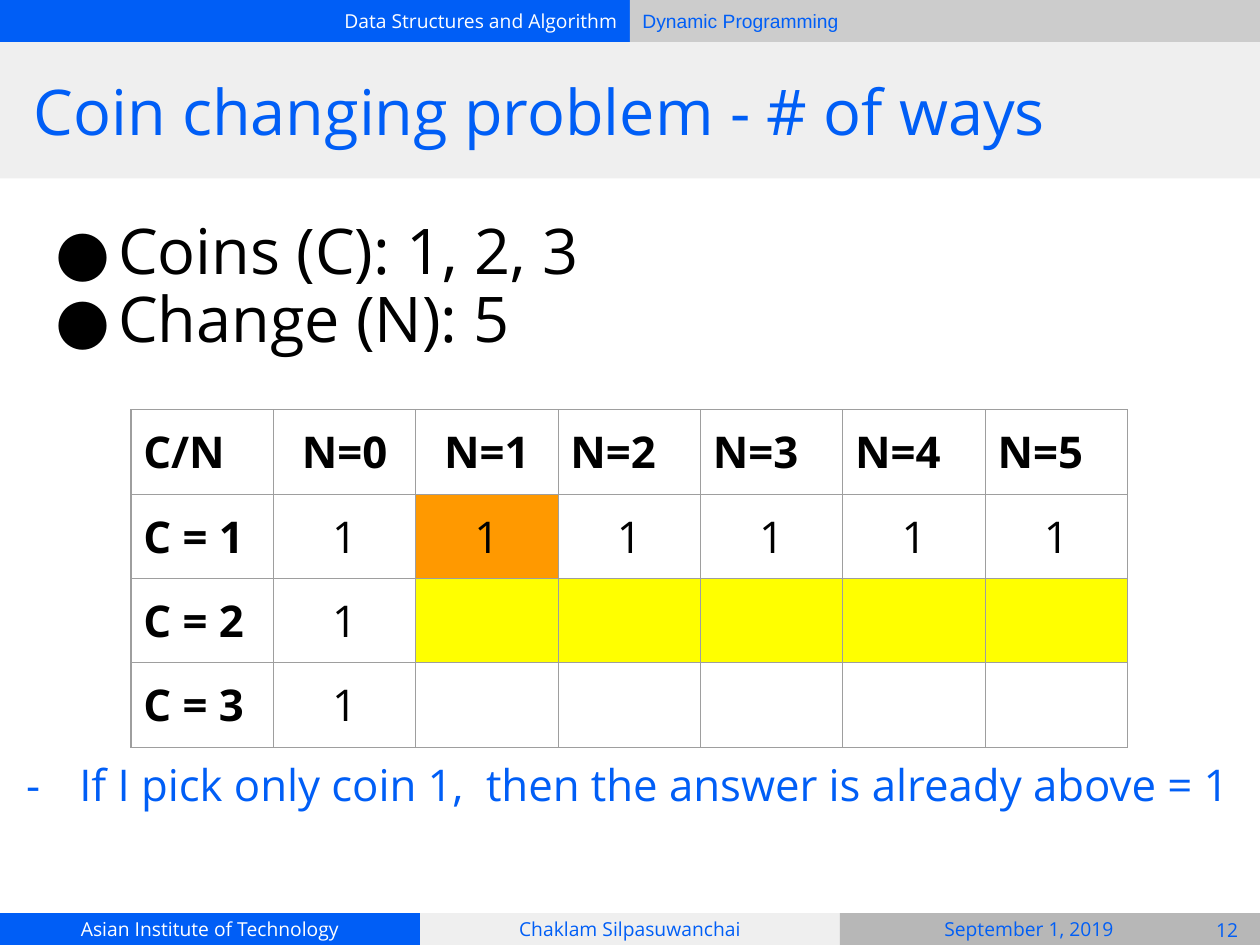
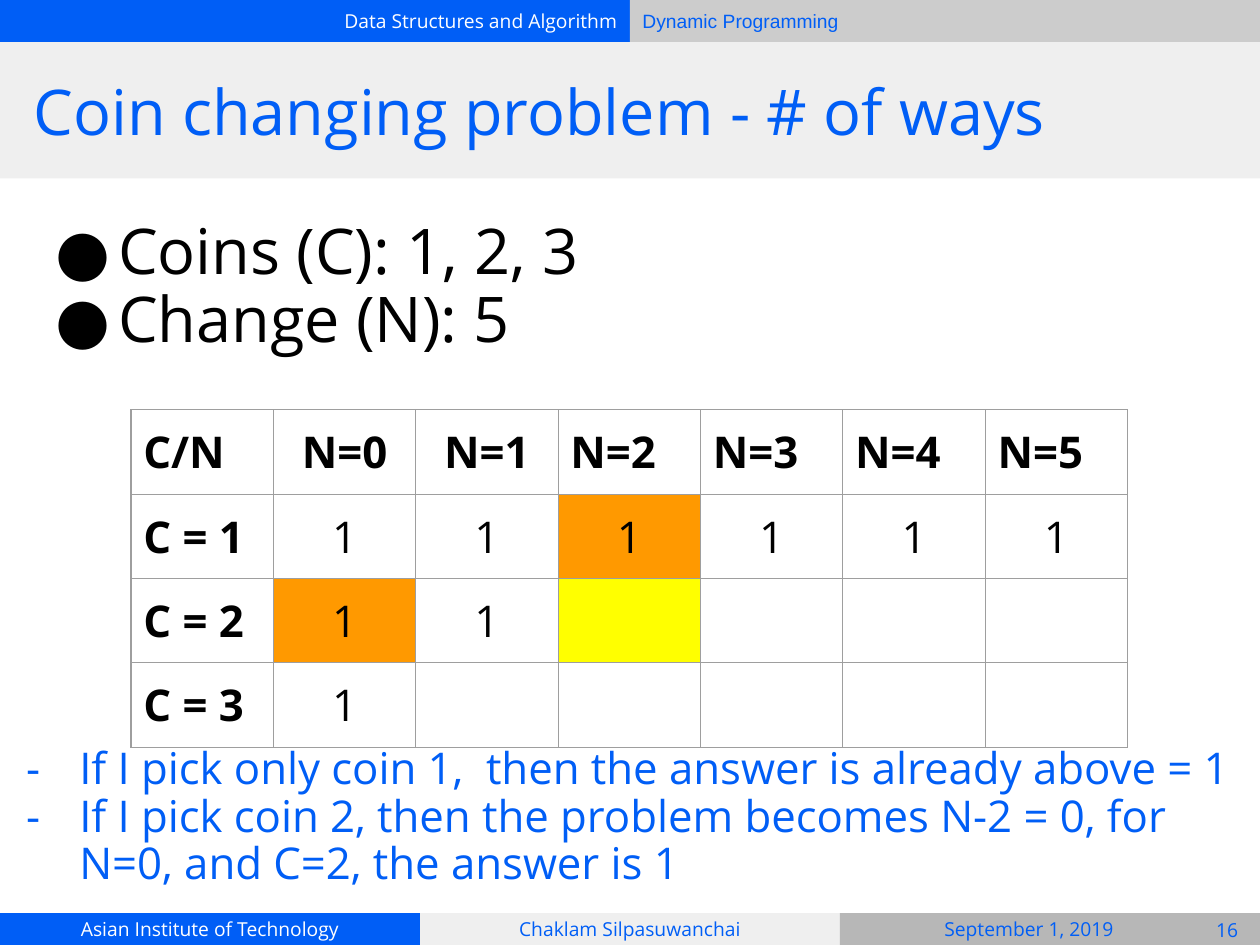
from dataclasses import dataclass

import lxml.etree
import pptx
import pptx.dml.color
import pptx.enum.shapes
import pptx.enum.text
import pptx.oxml
import pptx.oxml.ns
import pptx.util

Cm = pptx.util.Cm
RGBColor = pptx.dml.color.RGBColor
Align = pptx.enum.text.PP_ALIGN
Anchor = pptx.enum.text.MSO_ANCHOR

BLUE = RGBColor(0x00, 0x5E, 0xF6)
WHITE = RGBColor(0xFF, 0xFF, 0xFF)
BLACK = RGBColor(0x00, 0x00, 0x00)
PALE = RGBColor(0xEF, 0xEF, 0xEF)
SILVER = RGBColor(0xCC, 0xCC, 0xCC)
GRAY = RGBColor(0xB7, 0xB7, 0xB7)
GRID = RGBColor(0x9E, 0x9E, 0x9E)
ORANGE = RGBColor(0xFF, 0x99, 0x00)
YELLOW = RGBColor(0xFF, 0xFF, 0x00)

FONT = "Open Sans"
WIDTH, HEIGHT = 25.4, 19.05
HEADER_HEIGHT, TITLE_HEIGHT, FOOTER_HEIGHT = 0.85, 2.75, 0.64
FOOTER_TOP = HEIGHT - FOOTER_HEIGHT
HALF, THIRD = WIDTH / 2, WIDTH / 3
INSET = 0.25
COLUMN_WIDTH, ROW_HEIGHT = 2.87, 1.7

TITLE = "Coin changing problem - # of ways"
PROBLEM = ["Coins (C): 1, 2, 3", "Change (N): 5"]
COLUMN_HEADS = ["C/N"] + [f"N={amount}" for amount in range(6)]
PICK_COIN_1 = "If I pick only coin 1,  then the answer is already above = 1"
PICK_COIN_2 = ("If I pick coin 2, then the problem becomes N-2 = 0, "
               "for N=0, and C=2, the answer is 1")


@dataclass(frozen=True)
class Band:
    left: float
    top: float
    width: float
    height: float
    fill: RGBColor | None
    text: str = ""
    color: RGBColor = BLUE
    align: Align = Align.CENTER
    font: str = FONT


@dataclass(frozen=True)
class Step:
    number: str
    ways: list[list[str]]
    fills: dict[tuple[int, int], RGBColor]
    remarks: list[str]
    remarks_top: float
    remarks_height: float


BANDS = [
    Band(0, 0, HALF, HEADER_HEIGHT, BLUE, "Data Structures and Algorithm", WHITE, Align.RIGHT),
    Band(HALF, 0, HALF, HEADER_HEIGHT, SILVER, "Dynamic Programming", BLUE, Align.LEFT, "Arial"),
    Band(0, HEADER_HEIGHT, WIDTH, TITLE_HEIGHT, PALE),
    Band(0, FOOTER_TOP, THIRD, FOOTER_HEIGHT, BLUE, "Asian Institute of Technology", WHITE),
    Band(THIRD, FOOTER_TOP, THIRD, FOOTER_HEIGHT, PALE, "Chaklam Silpasuwanchai"),
    Band(2 * THIRD, FOOTER_TOP, THIRD, FOOTER_HEIGHT, GRAY),
    Band(17.15, FOOTER_TOP, 7.19, FOOTER_HEIGHT, None, "September 1, 2019"),
]

STEPS = [
    Step("12", [["1"] * 6, ["1"], ["1"]],
         {(1, 2): ORANGE} | {(2, column): YELLOW for column in range(2, 7)},
         [PICK_COIN_1], 15.14, 3.2),
    Step("16", [["1"] * 6, ["1", "1"], ["1"]],
         {(1, 3): ORANGE, (2, 1): ORANGE, (2, 3): YELLOW},
         [PICK_COIN_1, PICK_COIN_2], 14.81, 2.11),
]


def format_para(para, size: float, color: RGBColor, align: Align = Align.LEFT,
                font: str = FONT, bold: bool = False) -> None:
    para.alignment = align
    for span in para.runs:
        span.font.size = pptx.util.Pt(size)
        span.font.name = font
        span.font.bold = bold
        span.font.color.rgb = color


def set_frame(frame, anchor: Anchor, vertical_inset: float = INSET) -> None:
    frame.word_wrap = True
    frame.auto_size = pptx.enum.text.MSO_AUTO_SIZE.NONE
    frame.vertical_anchor = anchor
    frame.margin_left = frame.margin_right = Cm(INSET)
    frame.margin_top = frame.margin_bottom = Cm(vertical_inset)


def place(box, left: float, top: float, width: float, height: float) -> None:
    box.left, box.top, box.width, box.height = Cm(left), Cm(top), Cm(width), Cm(height)


def add_band(page, band: Band):
    area = Cm(band.left), Cm(band.top), Cm(band.width), Cm(band.height)
    if band.fill is None:
        box = page.shapes.add_textbox(*area)
    else:
        box = page.shapes.add_shape(pptx.enum.shapes.MSO_SHAPE.RECTANGLE, *area)
        box.shadow.inherit = False
        box.fill.solid()
        box.fill.fore_color.rgb = band.fill
        box.line.fill.background()
    if band.text:
        box.text_frame.text = band.text
        set_frame(box.text_frame, Anchor.MIDDLE)
        format_para(box.text_frame.paragraphs[0], 11, band.color, band.align, band.font)
    return box


def move_to_layout(boxes: list, layout) -> None:
    """Put the boxes behind the layout's placeholders, so every page shows them."""
    tree = layout.shapes.element
    for index, box in enumerate(boxes):
        box.element.nvSpPr.cNvPr.set("id", str(100 + index))
        tree.insert(2 + index, box.element)


def fill_list(frame, lines: list[str], bullet: str, hanging: float,
              size: float, color: RGBColor) -> None:
    frame.text = "\n".join(lines)
    for para in frame.paragraphs:
        para.line_spacing = 0.9
        para.space_before = pptx.util.Pt(0)
        settings = para._p.get_or_add_pPr()
        settings.set("marL", str(Cm(1.27)))
        settings.set("indent", str(-Cm(hanging)))
        tag = pptx.oxml.ns.qn
        tint = lxml.etree.SubElement(settings, tag("a:buClr"))
        lxml.etree.SubElement(tint, tag("a:srgbClr"), val=str(color))
        lxml.etree.SubElement(settings, tag("a:buFont"), typeface=FONT)
        lxml.etree.SubElement(settings, tag("a:buChar"), char=bullet)
        format_para(para, size, color)


def add_borders(cell) -> None:
    settings = cell._tc.get_or_add_tcPr()
    for side in ("lnL", "lnR", "lnT", "lnB"):
        settings.append(pptx.oxml.parse_xml(
            f'<a:{side} {pptx.oxml.ns.nsdecls("a")} w="9525">'
            f'<a:solidFill><a:srgbClr val="{GRID}"/></a:solidFill></a:{side}>'))


def add_ways_table(page, step: Step) -> None:
    rows = [COLUMN_HEADS]
    for coin, ways in enumerate(step.ways, start=1):
        rows.append([f"C = {coin}"] + ways + [""] * (6 - len(ways)))
    frame = page.shapes.add_table(
        len(rows), len(COLUMN_HEADS), Cm(2.64), Cm(8.26),
        Cm(COLUMN_WIDTH * len(COLUMN_HEADS)), Cm(ROW_HEIGHT * len(rows)))
    table = frame.table
    table.first_row = table.horz_banding = False
    for r, row in enumerate(rows):
        for c, text in enumerate(row):
            cell = table.cell(r, c)
            cell.margin_left = cell.margin_right = Cm(INSET)
            cell.margin_top = cell.margin_bottom = Cm(INSET)
            add_borders(cell)
            if (r, c) in step.fills:
                cell.fill.solid()
                cell.fill.fore_color.rgb = step.fills[r, c]
            else:
                cell.fill.background()
            cell.text_frame.text = text
            centred = c in (1, 2) or (r > 0 and c > 0)
            format_para(cell.text_frame.paragraphs[0], 25, BLACK,
                        Align.CENTER if centred else Align.LEFT, bold=r == 0 or c == 0)


def fill_page(page, step: Step) -> None:
    title, body = page.shapes.title, page.placeholders[1]
    place(title, 0.43, HEADER_HEIGHT, 24.56, TITLE_HEIGHT)
    title.text_frame.text = TITLE
    set_frame(title.text_frame, Anchor.MIDDLE)
    format_para(title.text_frame.paragraphs[0], 36, BLUE)

    place(body, 0.86, 4.3, 23.67, 3.94)
    set_frame(body.text_frame, Anchor.TOP, 0.13)
    fill_list(body.text_frame, PROBLEM, "●", 1.27, 36, BLACK)

    add_ways_table(page, step)

    remarks = page.shapes.add_textbox(
        Cm(0.08), Cm(step.remarks_top), Cm(25.22), Cm(step.remarks_height))
    set_frame(remarks.text_frame, Anchor.TOP)
    fill_list(remarks.text_frame, step.remarks, "-", 1.07, 25, BLUE)

    add_band(page, Band(24.08, 18.44, 1.32, 0.61, None, step.number))


def main() -> None:
    deck = pptx.Presentation()
    deck.slide_width, deck.slide_height = Cm(WIDTH), Cm(HEIGHT)
    layout = deck.slide_layouts[1]
    pages = [deck.slides.add_slide(layout) for _ in STEPS]
    move_to_layout([add_band(pages[0], band) for band in BANDS], layout)
    for page, step in zip(pages, STEPS):
        fill_page(page, step)
    deck.save("out.pptx")


if __name__ == "__main__":
    main()
